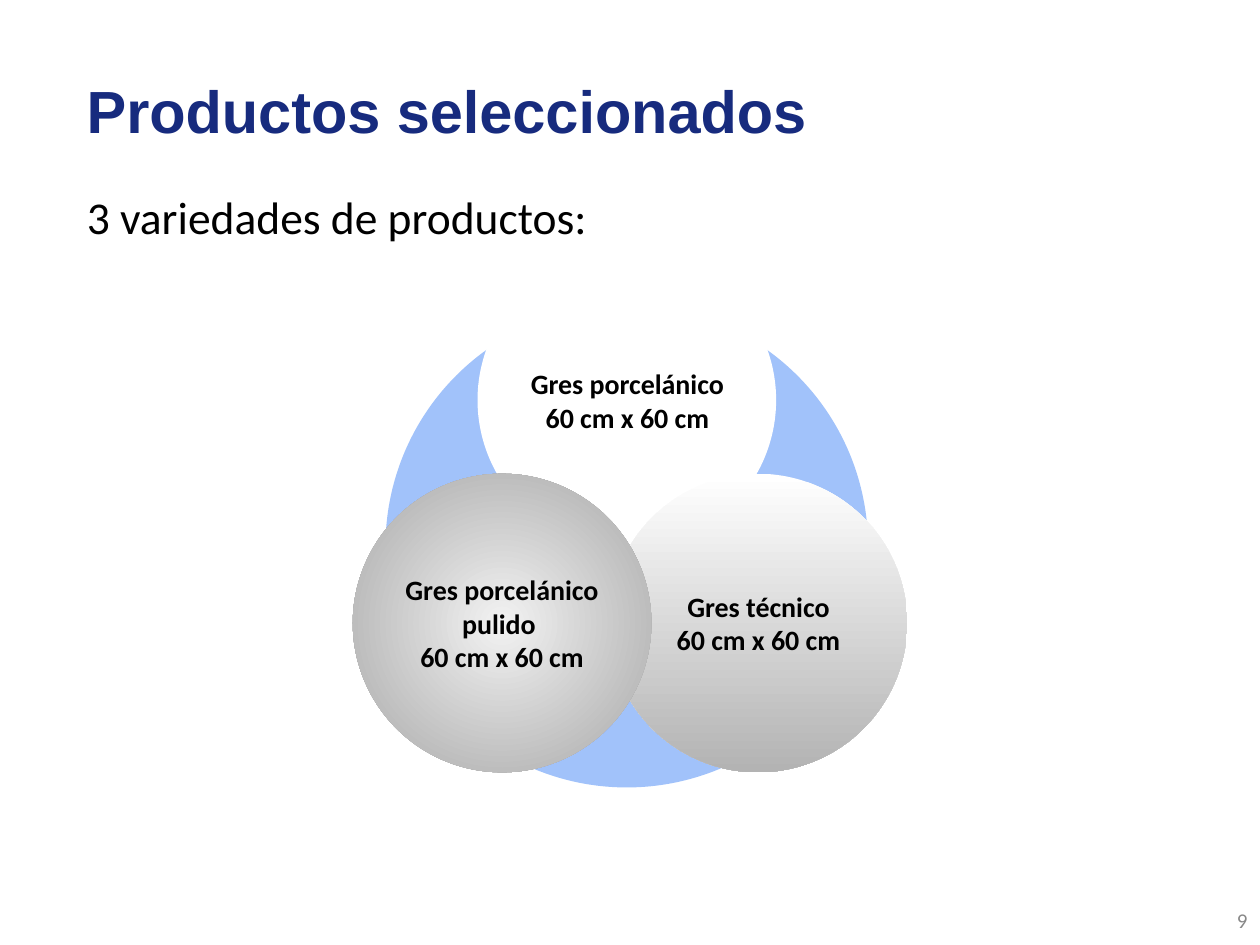
from dataclasses import dataclass
from typing import Optional

from lxml import etree
from pptx import Presentation
from pptx.dml.color import RGBColor
from pptx.enum.shapes import MSO_SHAPE
from pptx.enum.text import MSO_ANCHOR, PP_ALIGN
from pptx.oxml.ns import qn
from pptx.util import Inches, Pt

ELLIPSE = MSO_SHAPE.OVAL
LEFT, CENTER, RIGHT = PP_ALIGN.LEFT, PP_ALIGN.CENTER, PP_ALIGN.RIGHT
TOP, MIDDLE = MSO_ANCHOR.TOP, MSO_ANCHOR.MIDDLE
PRODUCT_DIAMETER = 2.37
LABEL_HEIGHT = 0.77


@dataclass
class TextStyle:
    size: float
    color: str = "000000"
    font: str = "Calibri"
    bold: bool = False
    align: PP_ALIGN = LEFT
    anchor: MSO_ANCHOR = MIDDLE
    inset: float = 0.1
    line_spacing: Optional[float] = None


@dataclass
class Product:
    left: float
    top: float
    colors: tuple[str, ...]
    lines: tuple[str, ...]
    label_left: float
    label_top: float
    label_width: float
    label_fill: Optional[str] = None
    radial: bool = False


TITLE = TextStyle(34, "172B7E", "Arial", bold=True, inset=0.05, line_spacing=0.8)
PAGE_NUMBER = TextStyle(12, "888888", align=RIGHT, inset=0.05)
SUBTITLE = TextStyle(26, anchor=TOP)
PRODUCT_LABEL = TextStyle(16, bold=True, align=CENTER)

PRODUCTS = (
    Product(3.79, 1.99, ("FFFFFF",), ("Gres porcelánico 60 cm x 60 cm",),
            4.1, 2.79, 1.76, label_fill="FFFFFF"),
    Product(4.83, 3.76, ("FFFFFF", "B3B3B3"), ("Gres técnico", "60 cm x 60 cm"),
            5.2, 4.56, 1.64),
    Product(2.8, 3.76, ("F2F2F2", "A6A6A6"),
            ("Gres porcelánico pulido ", "60 cm x 60 cm"),
            3.1, 4.56, 1.77, radial=True),
)


def rgb(color: str) -> RGBColor:
    return RGBColor.from_string(color)


def add_text(slide, left: float, top: float, width: float, height: float,
             lines: tuple[str, ...], style: TextStyle, fill: Optional[str] = None) -> None:
    box = slide.shapes.add_textbox(Inches(left), Inches(top), Inches(width), Inches(height))
    if fill:
        box.fill.solid()
        box.fill.fore_color.rgb = rgb(fill)
    frame = box.text_frame
    frame.word_wrap = True
    frame.vertical_anchor = style.anchor
    frame.margin_left = frame.margin_right = Inches(0.1)
    frame.margin_top = frame.margin_bottom = Inches(style.inset)
    for index, line in enumerate(lines):
        paragraph = frame.add_paragraph() if index else frame.paragraphs[0]
        paragraph.alignment = style.align
        paragraph.line_spacing = style.line_spacing
        run = paragraph.add_run()
        run.text = line
        run.font.name = style.font
        run.font.size = Pt(style.size)
        run.font.bold = style.bold
        run.font.color.rgb = rgb(style.color)


def make_radial(circle) -> None:
    gradient = circle.fill._xPr.find(qn("a:gradFill"))
    gradient.remove(gradient.find(qn("a:lin")))
    radial = etree.SubElement(gradient, qn("a:path"), {"path": "circle"})
    center = dict.fromkeys("ltrb", "50000")
    etree.SubElement(radial, qn("a:fillToRect"), center)


def add_circle(slide, left: float, top: float, diameter: float,
               colors: tuple[str, ...], radial: bool = False) -> None:
    circle = slide.shapes.add_shape(
        ELLIPSE, Inches(left), Inches(top), Inches(diameter), Inches(diameter))
    circle.shadow.inherit = False
    circle.line.fill.background()
    if len(colors) == 1:
        circle.fill.solid()
        circle.fill.fore_color.rgb = rgb(colors[0])
        return
    circle.fill.gradient()
    circle.fill.gradient_angle = 270
    for position, (stop, color) in enumerate(zip(circle.fill.gradient_stops, colors)):
        stop.position = position
        stop.color.rgb = rgb(color)
    if radial:
        make_radial(circle)


def add_product(slide, product: Product) -> None:
    add_circle(slide, product.left, product.top, PRODUCT_DIAMETER,
               product.colors, product.radial)
    add_text(slide, product.label_left, product.label_top, product.label_width,
             LABEL_HEIGHT, product.lines, PRODUCT_LABEL, product.label_fill)


def main() -> None:
    presentation = Presentation()
    presentation.slide_width = Inches(10)
    presentation.slide_height = Inches(7.5)
    slide = presentation.slides.add_slide(presentation.slide_layouts[6])

    add_text(slide, 0.59, 0.71, 7.23, 0.43, ("Productos seleccionados",), TITLE)
    add_text(slide, 7, 7.1, 3, 0.4, ("9",), PAGE_NUMBER)
    add_text(slide, 0.59, 1.4, 5.58, 0.53, ("3 variedades de productos:",), SUBTITLE)
    add_circle(slide, 3.06, 2.42, 3.83, ("A1C2FA",))
    for product in PRODUCTS:
        add_product(slide, product)

    presentation.save("out.pptx")


if __name__ == "__main__":
    main()
